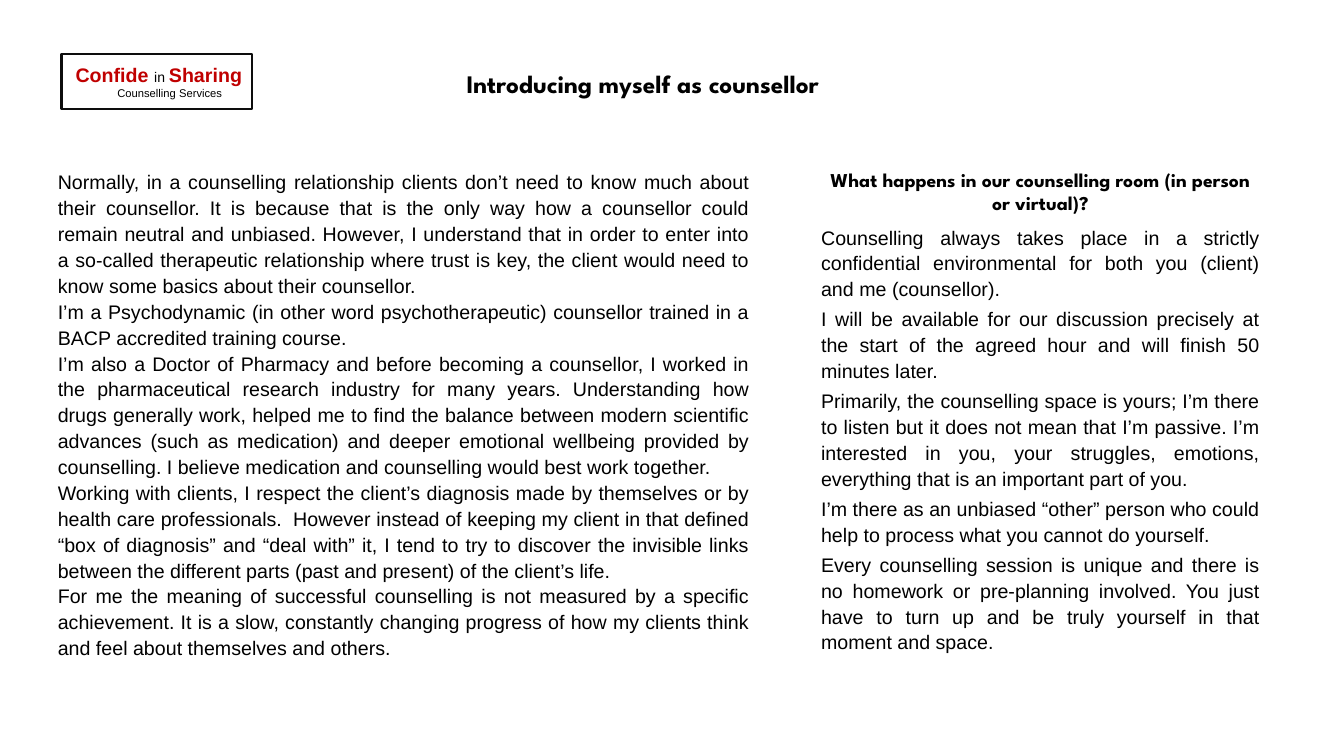
from dataclasses import dataclass

from pptx import Presentation
from pptx.dml.color import RGBColor
from pptx.enum.shapes import MSO_SHAPE
from pptx.enum.text import MSO_ANCHOR, PP_ALIGN
from pptx.util import Inches, Pt


@dataclass(frozen=True)
class Theme:
    text: str = "000000"
    accent: str = "C00000"
    paper: str = "FFFFFF"
    border: str = "0D0D0D"
    body_font: str = "Arial"
    head_font: str = "League Spartan"
    title_size: int = 18
    body_size: int = 14
    link_size: int = 10
    tagline_size: int = 8


THEME = Theme()

ABOUT_ME = [
    "Normally, in a counselling relationship clients don’t need to know much about their counsellor. "
    "It is because that is the only way how a counsellor could remain neutral and unbiased. However, "
    "I understand that in order to enter into a so-called therapeutic relationship where trust is key, "
    "the client would need to know some basics about their counsellor.",
    "I’m a Psychodynamic (in other word psychotherapeutic) counsellor trained in a BACP accredited "
    "training course.",
    "I’m also a Doctor of Pharmacy and before becoming a counsellor, I worked in the pharmaceutical "
    "research industry for many years. Understanding how drugs generally work, helped me to find the "
    "balance between modern scientific advances (such as medication) and deeper emotional wellbeing "
    "provided by counselling. I believe medication and counselling would best work together.",
    "Working with clients, I respect the client’s diagnosis made by themselves or by health care "
    "professionals.  However instead of keeping my client in that defined “box of diagnosis” and "
    "“deal with” it, I tend to try to discover the invisible links between the different parts "
    "(past and present) of the client’s life.",
    "For me the meaning of successful counselling is not measured by a specific achievement. It is a "
    "slow, constantly changing progress of how my clients think and feel about themselves and others.",
]
ROOM_HEADING = "What happens in our counselling room (in person or virtual)?"
ROOM = [
    "Counselling always takes place in a strictly confidential environmental for both you (client) "
    "and me (counsellor).",
    "I will be available for our discussion precisely at the start of the agreed hour and will finish "
    "50 minutes later.",
    "Primarily, the counselling space is yours; I’m there to listen but it does not mean that I’m "
    "passive. I’m interested in you, your struggles, emotions, everything that is an important part "
    "of you.",
    "I’m there as an unbiased “other” person who could help to process what you cannot do yourself.",
    "Every counselling session is unique and there is no homework or pre-planning involved. You just "
    "have to turn up and be truly yourself in that moment and space.",
]


def style(r, size, color=THEME.text, font=THEME.body_font, bold=False):
    r.font.size = Pt(size)
    r.font.name = font
    r.font.bold = bold
    r.font.color.rgb = RGBColor.from_string(color)


def add_panel(s, kind, box, line, width):
    sp = s.shapes.add_shape(kind, *map(Inches, box))
    sp.shadow.inherit = False
    sp.fill.solid()
    sp.fill.fore_color.rgb = RGBColor.from_string(THEME.paper)
    sp.line.color.rgb = RGBColor.from_string(line)
    sp.line.width = Pt(width)
    tf = sp.text_frame
    tf.word_wrap = True
    tf.vertical_anchor = MSO_ANCHOR.MIDDLE
    return tf


def add_name_plate(s, box):
    tf = add_panel(s, MSO_SHAPE.RECTANGLE, box, THEME.border, 1.5)
    p = tf.paragraphs[0]
    p.alignment = PP_ALIGN.RIGHT
    words = [
        ("Confide ", THEME.body_size, THEME.accent, True),
        ("in ", THEME.link_size, THEME.text, False),
        ("Sharing", THEME.body_size, THEME.accent, True),
    ]
    for word, size, color, bold in words:
        r = p.add_run()
        r.text = word
        style(r, size, color, bold=bold)
    p = tf.add_paragraph()
    p.text = "Counselling Services"
    p.alignment = PP_ALIGN.CENTER
    p._p.get_or_add_pPr().set("marL", str(Inches(0.26)))
    style(p.runs[0], THEME.tagline_size)


def add_title(s, box):
    tf = s.shapes.add_textbox(*map(Inches, box)).text_frame
    tf.word_wrap = True
    tf.text = "Introducing myself as counsellor"
    style(tf.paragraphs[0].runs[0], THEME.title_size, font=THEME.head_font, bold=True)


def add_column(s, box, paragraphs, space_after=0, heading=None):
    tf = add_panel(s, MSO_SHAPE.ROUNDED_RECTANGLE, box, THEME.paper, 1)
    texts = [heading, *paragraphs] if heading else paragraphs
    tf.text = "\n".join(texts)
    for p in tf.paragraphs:
        p.alignment = PP_ALIGN.JUSTIFY
        p.line_spacing = 1.1
        p.space_after = Pt(space_after)
        style(p.runs[0], THEME.body_size)
    if heading:
        p = tf.paragraphs[0]
        p.alignment = PP_ALIGN.CENTER
        p.line_spacing = 1.0
        p.space_after = Pt(6)
        style(p.runs[0], THEME.body_size, font=THEME.head_font, bold=True)


def main():
    prs = Presentation()
    prs.slide_width = Inches(13.33)
    prs.slide_height = Inches(7.5)
    s = prs.slides.add_slide(prs.slide_layouts[6])
    add_name_plate(s, (0.61, 0.54, 1.89, 0.54))
    add_column(s, (0.21, 1.39, 7.59, 5.43), ABOUT_ME)
    add_title(s, (4.53, 0.63, 4.28, 0.71))
    add_column(s, (7.8, 1.28, 5.04, 5.59), ROOM, space_after=3, heading=ROOM_HEADING)
    prs.save("out.pptx")


if __name__ == "__main__":
    main()
